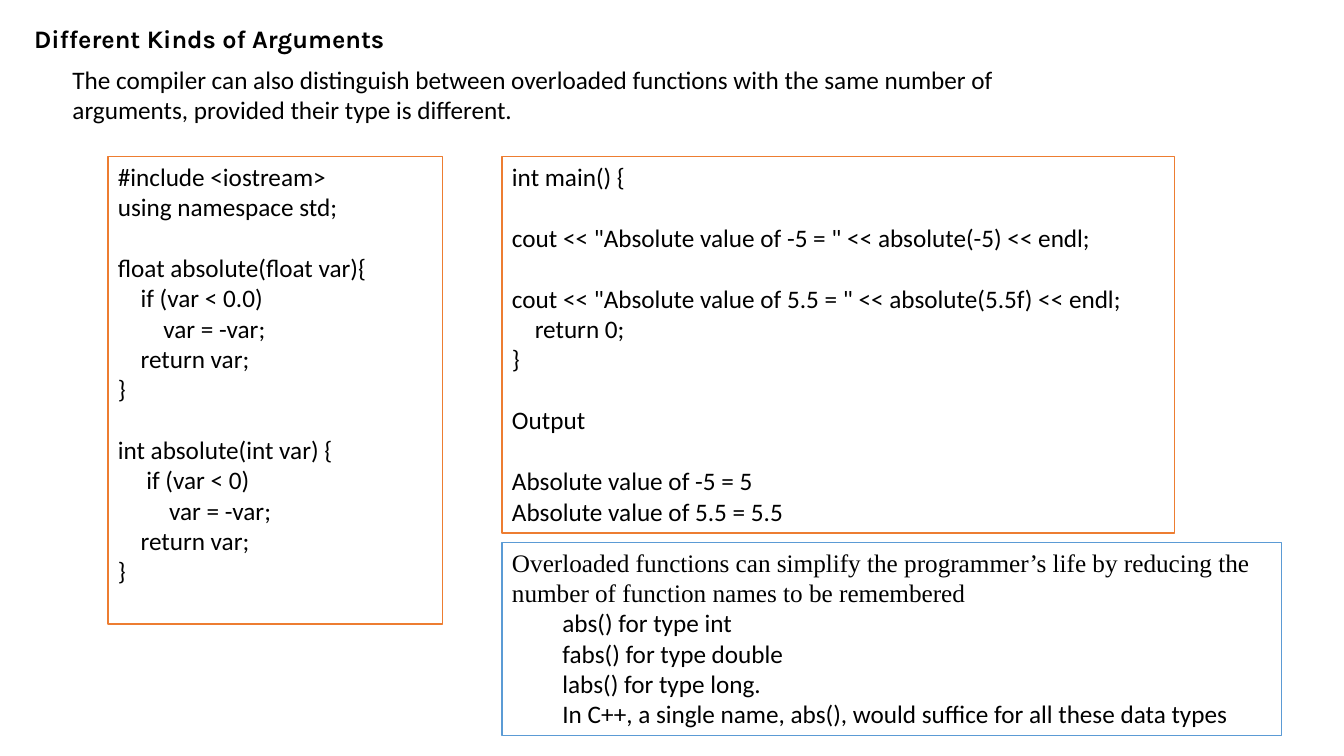
import pptx
import pptx.dml.color
import pptx.enum.shapes
import pptx.enum.text
import pptx.util
from pptx.util import Inches

LINE_HEIGHT = 22  # points, one line of 18 pt Calibri
SPACE = 0.0565  # inches, one space of 18 pt Calibri


def color(hex_code):
    return pptx.dml.color.RGBColor.from_string(hex_code)


def write(frame, lines, font="Calibri", bold=False):
    """Fill a frame with (text, indent in inches, empty lines above[, font])."""
    frame.word_wrap = True
    frame.vertical_anchor = pptx.enum.text.MSO_ANCHOR.TOP
    for number, (text, indent, gap, *own_font) in enumerate(lines):
        paragraph = frame.add_paragraph() if number else frame.paragraphs[0]
        paragraph.alignment = pptx.enum.text.PP_ALIGN.LEFT
        paragraph.space_before = pptx.util.Pt(gap * LINE_HEIGHT)
        properties = paragraph._p.get_or_add_pPr()
        properties.set("marL", str(Inches(indent)))
        properties.set("indent", "0")
        run = paragraph.add_run()
        run.text = text
        run.font.name = own_font[0] if own_font else font
        run.font.size = pptx.util.Pt(18)
        run.font.bold = bold
        run.font.color.rgb = color("000000")


deck = pptx.Presentation()
deck.slide_width = Inches(13.33)
deck.slide_height = Inches(7.5)
slide = deck.slides.add_slide(deck.slide_layouts[6])

title = slide.shapes.add_textbox(Inches(0.24), Inches(0.18), Inches(3.71), Inches(0.4))
write(title.text_frame, [("Different Kinds of Arguments", 0, 0)], "Karla", True)
title.text_frame.word_wrap = False

intro = slide.shapes.add_textbox(Inches(0.62), Inches(0.59), Inches(10.41), Inches(0.71))
write(intro.text_frame, [
    ("The compiler can also distinguish between overloaded functions with the "
     "same number of arguments, provided their type is different.", 0, 0),
])

function_code = [
    ("#include <iostream>", 0, 0),
    ("using namespace std;", 0, 0),
    ("float absolute(float var){", 0, 1),
    ("if (var < 0.0)", 4 * SPACE, 0),
    ("var = -var;", 8 * SPACE, 0),
    ("return var;", 4 * SPACE, 0),
    ("}", 0, 0),
    ("int absolute(int var) {", 0, 1),
    ("if (var < 0)", 5 * SPACE, 0),
    ("var = -var;", 9 * SPACE, 0),
    ("return var;", 4 * SPACE, 0),
    ("}", 0, 0),
]
main_code = [
    ("int main() {", 0, 0),
    ('cout << "Absolute value of -5 = " << absolute(-5) << endl;', 0, 1),
    ('cout << "Absolute value of 5.5 = " << absolute(5.5f) << endl;', 0, 1),
    ("return 0;", 4 * SPACE, 0),
    ("}", 0, 0),
    ("Output", 0, 1),
    ("Absolute value of -5 = 5", 0, 1),
    ("Absolute value of 5.5 = 5.5", 0, 0),
]
summary = [
    ("Overloaded functions can simplify the programmer’s life by reducing the "
     "number of function names to be remembered", 0, 0, "Times New Roman"),
    ("abs() for type int", 0.5, 0),
    ("fabs() for type double", 0.5, 0),
    ("labs() for type long.", 0.5, 0),
    ("In C++, a single name, abs(), would suffice for all these data types", 0.5, 0),
]

panels = [
    (1.07, 1.55, 3.32, 4.64, "ED7D31", function_code),
    (4.98, 1.55, 6.67, 3.74, "ED7D31", main_code),
    (4.98, 5.38, 7.73, 1.92, "5B9BD5", summary),
]
for left, top, width, height, border, lines in panels:
    panel = slide.shapes.add_shape(
        pptx.enum.shapes.MSO_SHAPE.RECTANGLE,
        Inches(left), Inches(top), Inches(width), Inches(height))
    panel.shadow.inherit = False
    panel.fill.solid()
    panel.fill.fore_color.rgb = color("FFFFFF")
    panel.line.color.rgb = color(border)
    panel.line.width = pptx.util.Pt(1)
    write(panel.text_frame, lines)

deck.save("out.pptx")
